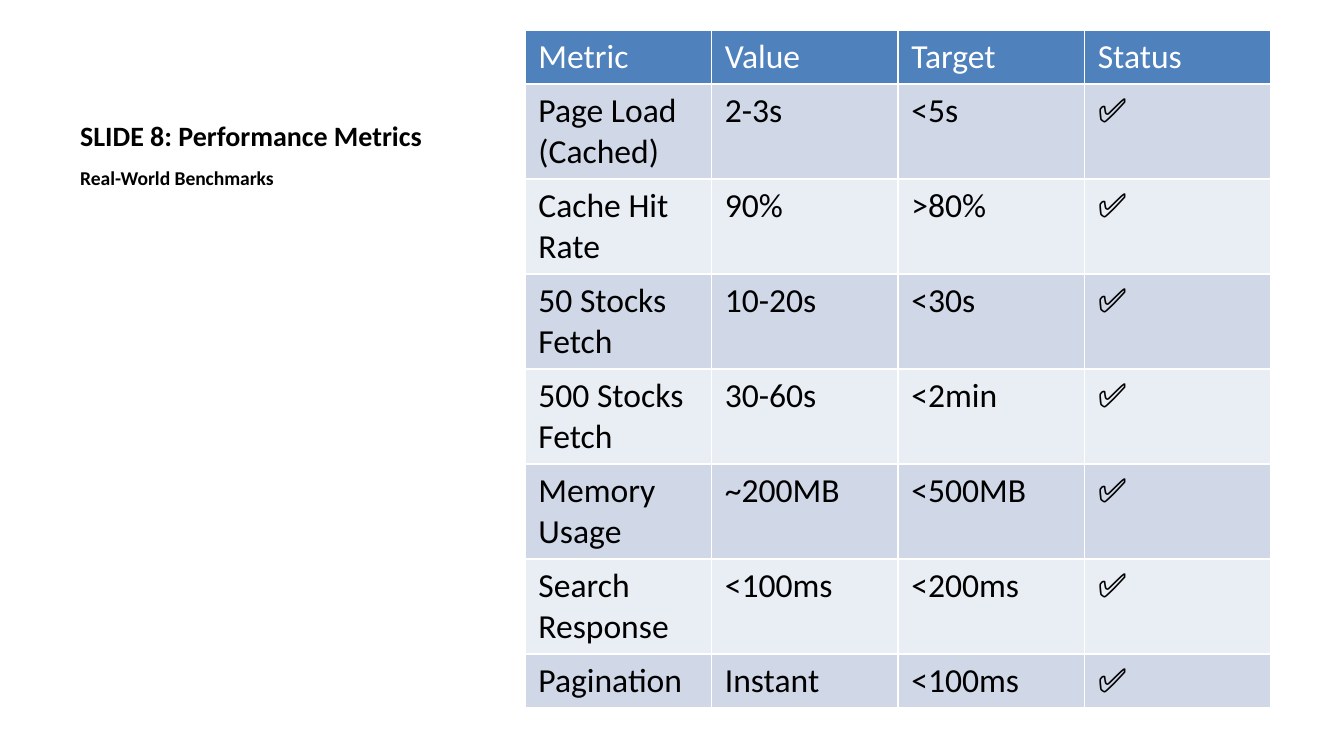
from dataclasses import dataclass

from pptx import Presentation
from pptx.dml.color import RGBColor
from pptx.enum.text import MSO_ANCHOR
from pptx.util import Emu, Pt


@dataclass(frozen=True)
class Theme:
    font: str = "Calibri"
    text: str = "000000"
    header_text: str = "FFFFFF"
    header_fill: str = "4F81BD"
    odd_fill: str = "D0D8E8"
    even_fill: str = "E9EDF4"
    title_size: float = 15
    subtitle_size: float = 10.5
    table_size: float = 18


THEME = Theme()
EMU_PER_PX = 914400 / 134.4
HEADER = ("Metric", "Value", "Target", "Status")
BENCHMARKS = (
    ("Page Load (Cached)", "2-3s", "<5s"),
    ("Cache Hit Rate", "90%", ">80%"),
    ("50 Stocks Fetch", "10-20s", "<30s"),
    ("500 Stocks Fetch", "30-60s", "<2min"),
    ("Memory Usage", "~200MB", "<500MB"),
    ("Search Response", "<100ms", "<200ms"),
    ("Pagination", "Instant", "<100ms"),
)
SINGLE_LINE_ROW, DOUBLE_LINE_ROW = 54, 95


def px(length):
    return Emu(round(length * EMU_PER_PX))


def set_text(frame, text, size, color, bold=False):
    frame.text = text
    font = frame.paragraphs[0].runs[0].font
    font.name = THEME.font
    font.size = Pt(size)
    font.bold = bold
    font.color.rgb = RGBColor.from_string(color)


def add_heading(page, left, top, width, height):
    title_height = round(height * 0.2)
    parts = (
        ("SLIDE 8: Performance Metrics", THEME.title_size, 0, title_height, MSO_ANCHOR.BOTTOM),
        ("Real-World Benchmarks", THEME.subtitle_size, title_height, height - title_height, MSO_ANCHOR.TOP),
    )
    for text, size, offset, part_height, anchor in parts:
        box = page.shapes.add_textbox(px(left), px(top + offset), px(width), px(part_height))
        frame = box.text_frame
        frame.word_wrap = True
        frame.vertical_anchor = anchor
        set_text(frame, text, size, THEME.text, bold=True)


def add_benchmark_table(page, left, top, width, height):
    rows = [HEADER] + [(*benchmark, "✅") for benchmark in BENCHMARKS]
    table = page.shapes.add_table(
        len(rows), len(HEADER), px(left), px(top), px(width), px(height)
    ).table
    for column in table.columns:
        column.width = px(width / len(HEADER))
    for row_index, values in enumerate(rows):
        is_header = row_index == 0
        is_single = is_header or row_index == len(rows) - 1
        table.rows[row_index].height = px(SINGLE_LINE_ROW if is_single else DOUBLE_LINE_ROW)
        band = THEME.odd_fill if row_index % 2 else THEME.even_fill
        fill = THEME.header_fill if is_header else band
        color = THEME.header_text if is_header else THEME.text
        for column_index, value in enumerate(values):
            cell = table.cell(row_index, column_index)
            cell.fill.solid()
            cell.fill.fore_color.rgb = RGBColor.from_string(fill)
            set_text(cell.text_frame, value, THEME.table_size, color)


def main():
    deck = Presentation()
    deck.slide_width, deck.slide_height = px(1344), px(756)
    page = deck.slides.add_slide(deck.slide_layouts[6])
    add_heading(page, 67, 30, 442, 646)
    add_benchmark_table(page, 525, 30, 746, 678)
    deck.save("out.pptx")


if __name__ == "__main__":
    main()
